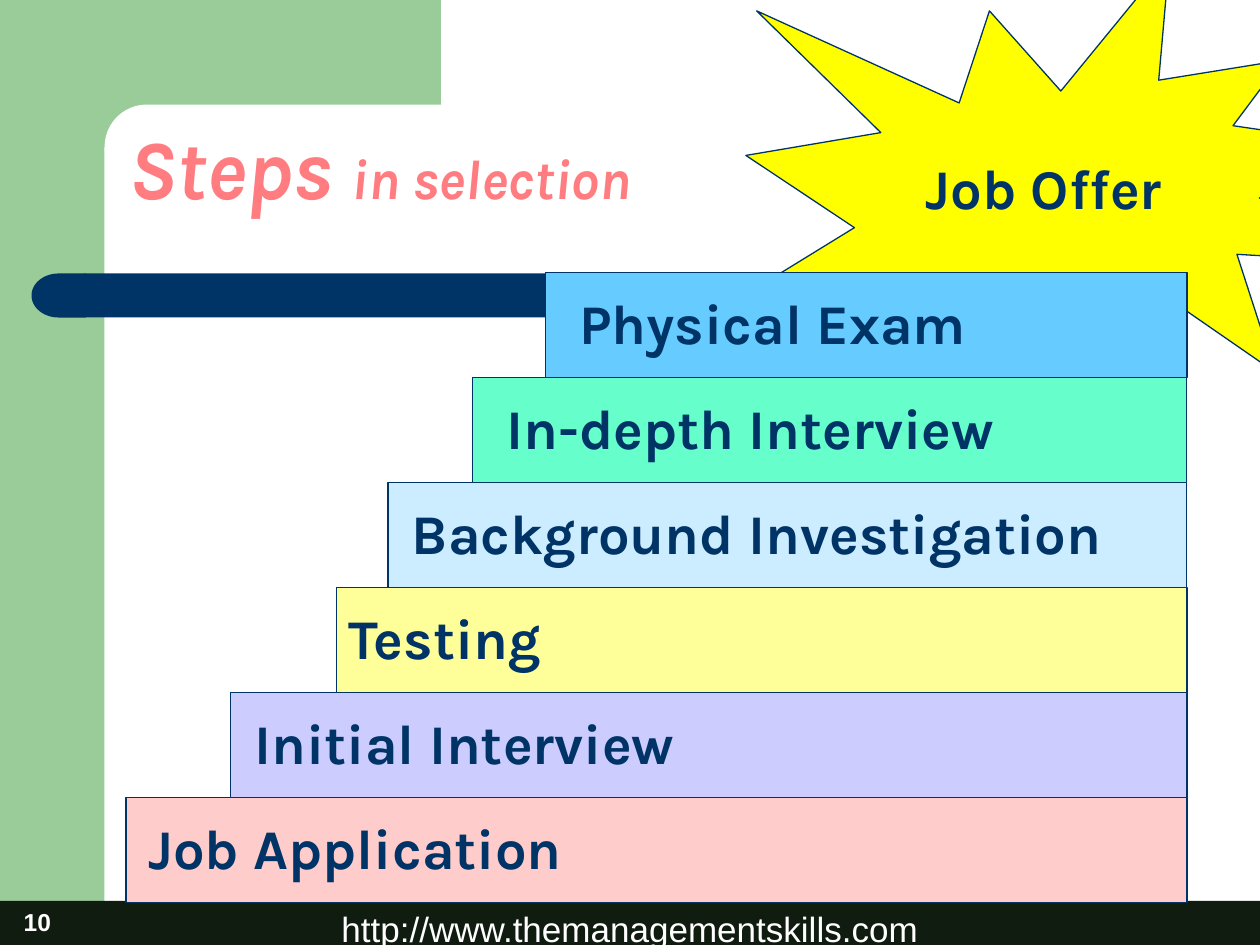
from pptx import Presentation
from pptx import util as u
from pptx.dml.color import RGBColor
from pptx.enum import shapes, text

GREEN = RGBColor(0x99, 0xCC, 0x99)
NAVY = RGBColor(0x00, 0x33, 0x66)
WHITE = RGBColor(0xFF, 0xFF, 0xFF)
BLACK_GREEN = RGBColor(0x0F, 0x1C, 0x0F)
YELLOW = RGBColor(0xFF, 0xFF, 0x00)
CORAL = RGBColor(0xFF, 0x7C, 0x80)
PINK = RGBColor(0xFF, 0xCC, 0xCC)
LILAC = RGBColor(0xCC, 0xCC, 0xFF)
CREAM = RGBColor(0xFF, 0xFF, 0x99)
PALE_BLUE = RGBColor(0xCC, 0xEC, 0xFF)
MINT = RGBColor(0x66, 0xFF, 0xCC)
SKY = RGBColor(0x66, 0xCC, 0xFF)
SHAPE = shapes.MSO_SHAPE
STEP_HEIGHT = 5 / 6
STEP_RIGHT = 9.42
BOTTOM_STEP = 6.33

STEPS = [
    ("Job Application", PINK, 1, 1.08, 5.75),
    ("Initial Interview", LILAC, 1.83, 1.92, 5),
    ("Testing", CREAM, 2.67, 2.67, 2.08),
    ("Background Investigation", PALE_BLUE, 3.08, 3.17, 7.17),
    ("In-depth Interview", MINT, 3.75, 3.92, 5.33),
    ("Physical Exam", SKY, 4.33, 4.5, 4.42),
]


class Deck:
    heading_font = "Karla"
    footer_font = "Arial"

    def __init__(self, prs):
        self.slide = prs.slides.add_slide(prs.slide_layouts[5])

    def shape(self, kind, box, fill, line=None, adj=None):
        sp = self.slide.shapes.add_shape(kind, *map(u.Inches, box))
        sp.shadow.inherit = False
        sp.fill.solid()
        sp.fill.fore_color.rgb = fill
        if line is None:
            sp.line.fill.background()
        else:
            sp.line.color.rgb = line
            sp.line.width = u.Pt(0.75)
        if adj is not None:
            sp.adjustments[0] = adj
        return sp

    def set_text(self, sp, words, font, size, color, bold=False,
                 align=text.PP_ALIGN.LEFT, anchor=text.MSO_ANCHOR.TOP):
        tf = sp.text_frame
        tf.word_wrap = True
        tf.vertical_anchor = anchor
        p = tf.paragraphs[0]
        p.text = words
        p.alignment = align
        p.font.name = font
        p.font.size = u.Pt(size)
        p.font.bold = bold
        p.font.color.rgb = color

    def label(self, words, box, font=heading_font, size=32, color=NAVY,
              anchor=text.MSO_ANCHOR.TOP):
        sp = self.slide.shapes.add_textbox(*map(u.Inches, box))
        self.set_text(sp, words, font, size, color, True, anchor=anchor)

    def title(self, runs, box):
        sp = self.slide.shapes.title
        self.slide.shapes._spTree.append(sp._element)
        sp.left, sp.top, sp.width, sp.height = map(u.Inches, box)
        tf = sp.text_frame
        tf.auto_size = text.MSO_AUTO_SIZE.NONE
        tf.word_wrap = True
        tf.vertical_anchor = text.MSO_ANCHOR.BOTTOM
        tf.margin_bottom = u.Inches(0.52)
        p = tf.paragraphs[0]
        p.alignment = text.PP_ALIGN.LEFT
        p.line_spacing = 0.9
        p.font.name = self.heading_font
        p.font.bold = p.font.italic = True
        p.font.color.rgb = CORAL
        for words, size in runs:
            r = p.add_run()
            r.text = words
            r.font.size = u.Pt(size)

    def frame(self):
        self.shape(SHAPE.RECTANGLE, (0, 0, 0.83, 7.5), GREEN)
        self.shape(SHAPE.RECTANGLE, (0.75, 0, 2.75, 1.17), GREEN)
        self.shape(SHAPE.ROUNDED_RECTANGLE, (0.83, 0.83, 5.58, 0.67), WHITE, adj=0.5)
        self.shape(SHAPE.RECTANGLE, (0.67, 2.17, 7.67, 0.35), NAVY)
        cap = self.shape(SHAPE.FLOWCHART_DELAY, (0.25, 2.17, 0.43, 0.35), NAVY)
        cap.rotation = 180
        footer = self.shape(SHAPE.RECTANGLE, (0, 7.15, 10, 0.44), BLACK_GREEN)
        self.set_text(footer, "http://www.themanagementskills.com", self.footer_font,
                      20, WHITE, align=text.PP_ALIGN.CENTER)
        self.label("10", (0.09, 7.14, 0.64, 0.34), self.footer_font, 14, WHITE,
                   text.MSO_ANCHOR.BOTTOM)

    def step(self, level, words, fill, left, label_left, label_width):
        top = BOTTOM_STEP - level * STEP_HEIGHT
        self.shape(SHAPE.RECTANGLE, (left, top, STEP_RIGHT - left, STEP_HEIGHT), fill, NAVY)
        self.label(words, (label_left, top + 0.08, label_width, 0.64))


def main():
    prs = Presentation()
    prs.slide_width, prs.slide_height = u.Inches(10), u.Inches(7.5)
    deck = Deck(prs)
    deck.frame()
    deck.shape(SHAPE.EXPLOSION1, (5.92, -0.33, 5, 3.92), YELLOW, NAVY)
    deck.title([("Steps ", 48), ("in selection", 32)], (0.92, 1.33, 8.5, 0.92))
    for level, step in enumerate(STEPS):
        deck.step(level, *step)
    deck.label("Job Offer", (7.25, 1.17, 2.5, 0.64))
    prs.save("out.pptx")


if __name__ == "__main__":
    main()
